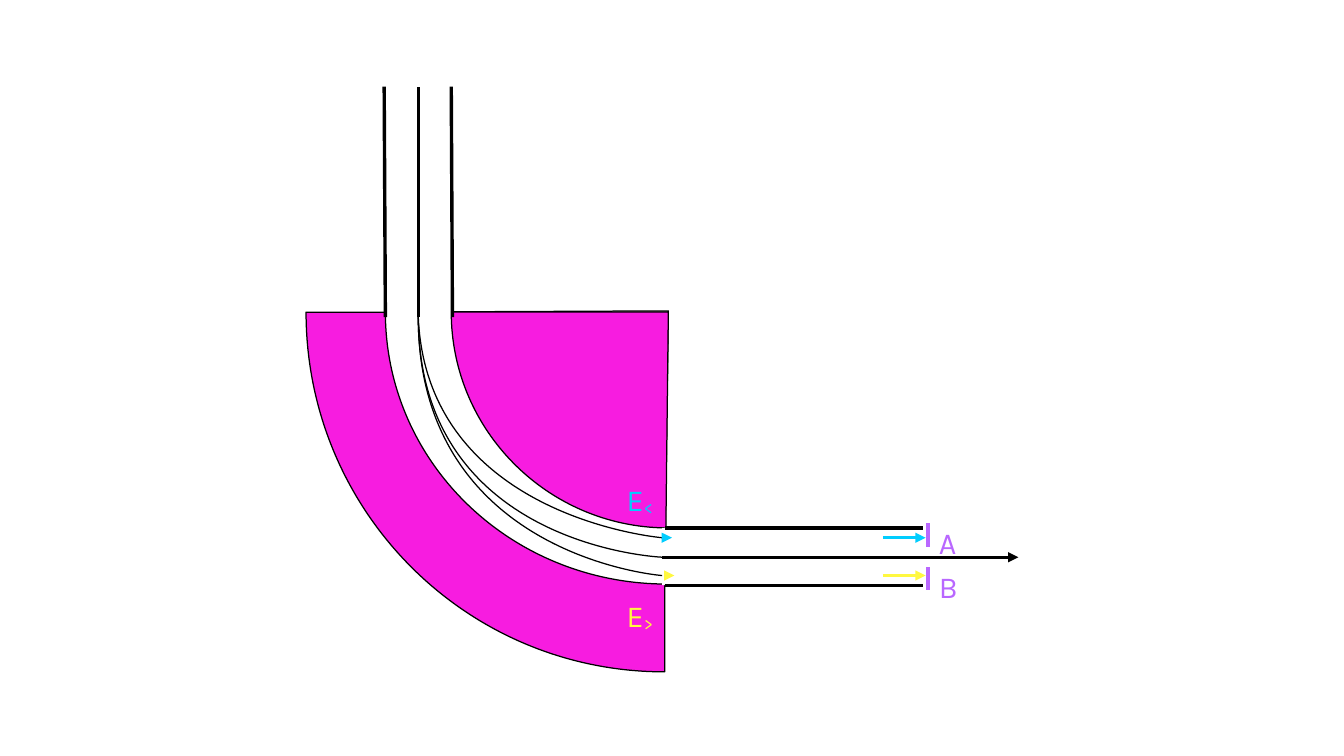
from dataclasses import dataclass
from typing import Optional

import pptx
import pptx.dml.color
import pptx.enum.shapes
import pptx.enum.text
import pptx.oxml
import pptx.oxml.ns
import pptx.util

Inches = pptx.util.Inches
Pt = pptx.util.Pt
RGBColor = pptx.dml.color.RGBColor
qn = pptx.oxml.ns.qn
Point = tuple[float, float]

BLACK = RGBColor(0x00, 0x00, 0x00)
WHITE = RGBColor(0xFF, 0xFF, 0xFF)
MAGENTA = RGBColor(0xF7, 0x1C, 0xE0)
PURPLE = RGBColor(0xB9, 0x67, 0xFF)
CYAN = RGBColor(0x01, 0xCD, 0xFE)
YELLOW = RGBColor(0xFF, 0xF8, 0x40)
FONT = "Karla"
HAIRLINE = 0
PLATE_WIDTH = 2.83

# Shared positions of the beam, in inches
ENTRY: Point = (3.43, 2.6)
BEAM_TOP = 0.71
EXIT_X = 5.43
LOW_Y, MIDDLE_Y, HIGH_Y = 4.41, 4.57, 4.72
WALL_END_X = 7.57
PLATE_X = 7.61


@dataclass(frozen=True)
class Curve:
    """One cubic curve, closed through a corner when one is given."""
    start: Point
    control_1: Point
    control_2: Point
    end: Point
    corner: Optional[Point] = None
    fill: Optional[RGBColor] = None


@dataclass(frozen=True)
class Line:
    start: Point
    end: Point
    color: RGBColor = BLACK
    width: float = HAIRLINE
    arrow: bool = False


@dataclass(frozen=True)
class Label:
    left: float
    top: float
    text: str
    color: RGBColor
    subscript: str = ""


SECTORS = [
    Curve((5.45, 5.51), (3.82, 5.51), (2.51, 4.19), (2.51, 2.56), (5.45, 2.56), MAGENTA),
    Curve((5.45, 4.79), (4.18, 4.78), (3.16, 3.79), (3.16, 2.56), (5.48, 2.55), WHITE),
    Curve((5.46, 4.33), (4.49, 4.32), (3.7, 3.53), (3.7, 2.56), (5.48, 2.56), MAGENTA),
]
OPENINGS = [(3.16, 2.52, 0.55, 0.08), (5.43, 4.33, 0.24, 0.47)]
WALLS = [
    Line((3.16, 2.6), (3.15, BEAM_TOP)),
    Line((3.71, 2.6), (3.7, BEAM_TOP)),
    Line((5.45, 4.33), (WALL_END_X, 4.33)),
    Line((5.45, 4.8), (WALL_END_X, 4.8)),
]
TRAJECTORIES = [
    Curve(ENTRY, (3.43, 4.49), (EXIT_X, MIDDLE_Y), (EXIT_X, MIDDLE_Y)),
    Curve(ENTRY, (3.5, 4.25), (EXIT_X, LOW_Y), (EXIT_X, LOW_Y)),
    Curve(ENTRY, (3.43, 4.57), (EXIT_X, HIGH_Y), (EXIT_X, HIGH_Y)),
]
BEAMS = [
    Line((EXIT_X, LOW_Y), (5.51, LOW_Y), CYAN, arrow=True),
    Line((5.45, HIGH_Y), (5.53, HIGH_Y), YELLOW, arrow=True),
    Line((EXIT_X, MIDDLE_Y), (8.35, MIDDLE_Y), arrow=True),
    Line(ENTRY, (ENTRY[0], BEAM_TOP)),
    Line((7.24, LOW_Y), (7.59, LOW_Y), CYAN, arrow=True),
    Line((7.24, HIGH_Y), (7.59, HIGH_Y), YELLOW, arrow=True),
]
PLATES = [
    Line((PLATE_X, 4.29), (PLATE_X, 4.49), PURPLE, PLATE_WIDTH),
    Line((PLATE_X, 4.65), (PLATE_X, 4.84), PURPLE, PLATE_WIDTH),
]
LABELS = [
    Label(7.6, 4.25, "A", PURPLE),
    Label(7.6, 4.61, "B", PURPLE),
    Label(5.04, 3.9, "E", CYAN, "<"),
    Label(5.04, 4.85, "E", YELLOW, ">"),
]


def to_emu(point: Point) -> tuple[int, int]:
    return Inches(point[0]), Inches(point[1])


def draw_curve(slide: pptx.slide.Slide, curve: Curve) -> None:
    points = [curve.control_1, curve.control_2, curve.end]
    if curve.corner:
        points.append(curve.corner)
    builder = slide.shapes.build_freeform(*to_emu(curve.start))
    builder.add_line_segments([to_emu(point) for point in points], close=bool(curve.corner))
    shape = builder.convert_to_shape()
    shape.shadow.inherit = False
    shape.line.color.rgb = BLACK
    shape.line.width = Pt(HAIRLINE)
    if curve.fill is None:
        shape.fill.background()
    else:
        shape.fill.solid()
        shape.fill.fore_color.rgb = curve.fill

    # Join the first three segments into one cubic curve
    segments = list(shape._element.iter(qn("a:lnTo")))[:3]
    cubic = pptx.oxml.parse_xml(f'<a:cubicBezTo {pptx.oxml.ns.nsdecls("a")}/>')
    segments[0].addprevious(cubic)
    for segment in segments:
        cubic.append(segment[0])
        segment.getparent().remove(segment)


def draw_opening(slide: pptx.slide.Slide, box: tuple[float, float, float, float]) -> None:
    shape = slide.shapes.add_shape(
        pptx.enum.shapes.MSO_SHAPE.RECTANGLE, *(Inches(length) for length in box))
    shape.shadow.inherit = False
    shape.fill.solid()
    shape.fill.fore_color.rgb = WHITE
    shape.line.fill.background()


def draw_line(slide: pptx.slide.Slide, line: Line) -> None:
    connector = slide.shapes.add_connector(
        pptx.enum.shapes.MSO_CONNECTOR.STRAIGHT, *to_emu(line.start), *to_emu(line.end))
    connector.line.color.rgb = line.color
    connector.line.width = Pt(line.width)
    namespace = pptx.oxml.ns.nsdecls("a")
    if line.arrow:
        connector.line._get_or_add_ln().append(
            pptx.oxml.parse_xml(f'<a:tailEnd {namespace} type="triangle"/>'))
    connector._element.spPr.append(pptx.oxml.parse_xml(f"<a:effectLst {namespace}/>"))


def draw_label(slide: pptx.slide.Slide, label: Label) -> None:
    text_box = slide.shapes.add_textbox(
        Inches(label.left), Inches(label.top), Inches(0.47), Inches(0.44))
    frame = text_box.text_frame
    frame.word_wrap = True
    frame.auto_size = pptx.enum.text.MSO_AUTO_SIZE.SHAPE_TO_FIT_TEXT
    paragraph = frame.paragraphs[0]
    for text, baseline in ((label.text, None), (label.subscript, "-8000")):
        if not text:
            continue
        run = paragraph.add_run()
        run.text = text
        run.font.name = FONT
        run.font.size = Pt(18)
        run.font.color.rgb = label.color
        if baseline:
            run.font._element.set("baseline", baseline)


def main() -> None:
    presentation = pptx.Presentation()
    presentation.slide_width = Inches(11.02)
    presentation.slide_height = Inches(6.2)
    slide = presentation.slides.add_slide(presentation.slide_layouts[6])

    # Curved sectors with their entry and exit openings
    for sector in SECTORS:
        draw_curve(slide, sector)
    for opening in OPENINGS:
        draw_opening(slide, opening)

    # Channel walls, particle paths and detector plates
    for wall in WALLS:
        draw_line(slide, wall)
    for trajectory in TRAJECTORIES:
        draw_curve(slide, trajectory)
    for line in BEAMS + PLATES:
        draw_line(slide, line)

    # Labels
    for label in LABELS:
        draw_label(slide, label)

    presentation.save("out.pptx")


if __name__ == "__main__":
    main()
